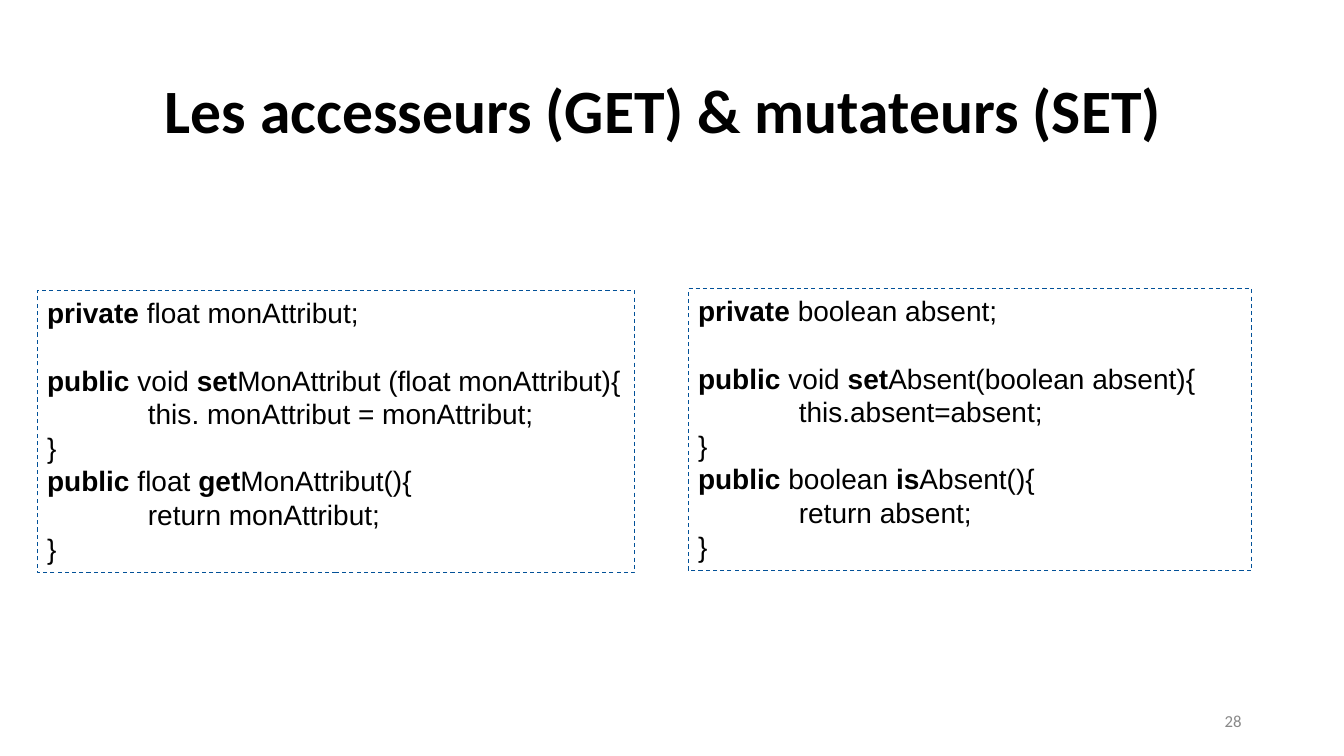
from dataclasses import dataclass

from pptx import Presentation
from pptx.dml.color import RGBColor
from pptx.enum.dml import MSO_LINE
from pptx.enum.shapes import MSO_SHAPE
from pptx.enum.text import MSO_ANCHOR, MSO_AUTO_SIZE, PP_ALIGN
from pptx.slide import Slide
from pptx.text.text import TextFrame
from pptx.util import Pt

BLACK = RGBColor(0x00, 0x00, 0x00)
GREY = RGBColor(0x88, 0x88, 0x88)
BLUE = RGBColor(0x02, 0x51, 0x98)

TITLE_FONT = {"name": "Calibri", "size": Pt(44), "bold": True}
NUMBER_FONT = {"name": "Calibri", "size": Pt(12), "bold": False}
CODE_FONT = {"name": "Arial", "size": Pt(20)}
FRAME = {"word_wrap": True, "auto_size": MSO_AUTO_SIZE.NONE}
CODE_LINE = {"alignment": PP_ALIGN.LEFT, "line_spacing": 1.0}


@dataclass(frozen=True)
class CodeBox:
    left: float
    top: float
    width: float
    type_name: str
    field: str
    setter: str
    assignment: str
    getter_prefix: str
    getter: str

    def lines(self) -> list[str]:
        """Code lines, with * around bold words and a tab before indented lines."""
        return [
            f"*private* {self.type_name} {self.field};",
            f"*public* void *set*{self.setter}({self.type_name} {self.field}){{",
            f"\t{self.assignment}",
            "}",
            f"*public* {self.type_name} *{self.getter_prefix}*{self.getter}(){{",
            f"\treturn {self.field};",
            "}",
        ]


CODE_HEIGHT = 200.9
CODE_BOXES = [
    CodeBox(26.6, 207.8, 427, "float", "monAttribut", "MonAttribut ",
            "this. monAttribut = monAttribut;", "get", "MonAttribut"),
    CodeBox(491.5, 206.4, 402.5, "boolean", "absent", "Absent",
            "this.absent=absent;", "is", "Absent"),
]


def apply(target: object, values: dict) -> None:
    for name, value in values.items():
        setattr(target, name, value)


def write_line(tf: TextFrame, text: str, font: dict, color: RGBColor, fmt: dict) -> None:
    """Fill the only paragraph of a frame."""
    apply(tf, FRAME | {"vertical_anchor": MSO_ANCHOR.MIDDLE})
    p = tf.paragraphs[0]
    apply(p, fmt)
    r = p.add_run()
    r.text = text
    apply(r.font, font)
    r.font.color.rgb = color


def add_code_box(s: Slide, box: CodeBox) -> None:
    sp = s.shapes.add_shape(MSO_SHAPE.RECTANGLE, Pt(box.left), Pt(box.top),
                            Pt(box.width), Pt(CODE_HEIGHT))
    sp.shadow.inherit = False
    sp.fill.background()
    sp.line.color.rgb = BLUE
    apply(sp.line, {"width": Pt(0.75), "dash_style": MSO_LINE.DASH})
    tf = sp.text_frame
    apply(tf, FRAME | {"vertical_anchor": MSO_ANCHOR.TOP})
    for i, line in enumerate(box.lines()):
        p = tf.add_paragraph() if i else tf.paragraphs[0]
        apply(p, CODE_LINE)
        if i == 1:
            p.space_before = Pt(24)
        if line.startswith("\t"):
            p._p.get_or_add_pPr().set("marL", str(Pt(72)))
        for j, part in enumerate(line.strip().split("*")):
            if part:
                r = p.add_run()
                r.text = part
                apply(r.font, CODE_FONT | {"bold": j % 2 == 1})
                r.font.color.rgb = BLACK


def main() -> None:
    prs = Presentation()
    apply(prs, {"slide_width": Pt(960), "slide_height": Pt(540)})
    s = prs.slides.add_slide(prs.slide_layouts[5])

    title = s.shapes.title
    apply(title, {"left": Pt(110.5), "top": Pt(28.8),
                  "width": Pt(828), "height": Pt(104.4)})
    write_line(title.text_frame, "Les accesseurs (GET) & mutateurs (SET)", TITLE_FONT,
               BLACK, {"alignment": PP_ALIGN.LEFT, "line_spacing": 0.9})

    for box in CODE_BOXES:
        add_code_box(s, box)

    number = s.shapes.add_textbox(Pt(678), Pt(500.4), Pt(216), Pt(28.8))
    write_line(number.text_frame, "28", NUMBER_FONT, GREY, {"alignment": PP_ALIGN.RIGHT})

    prs.save("out.pptx")


if __name__ == "__main__":
    main()
